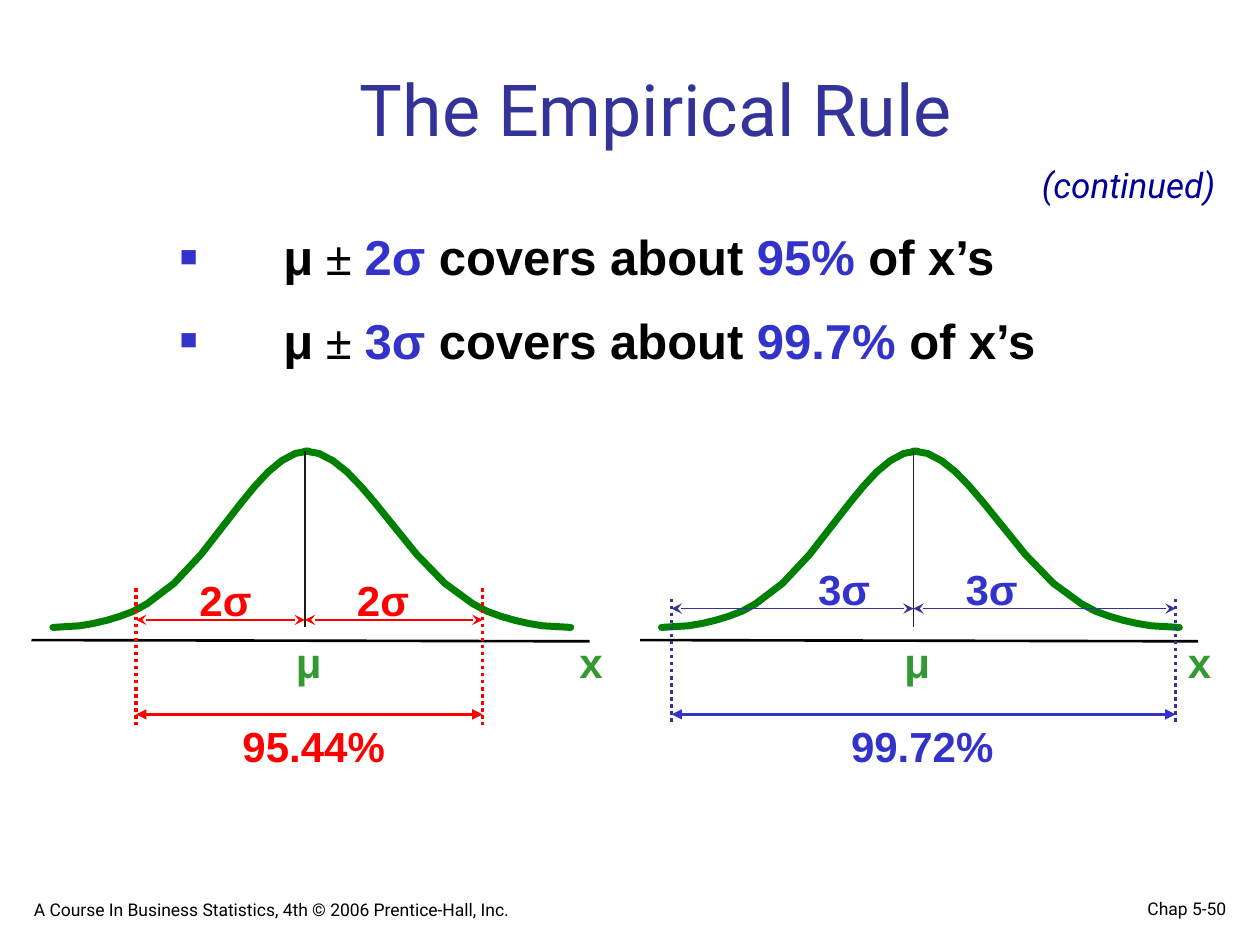
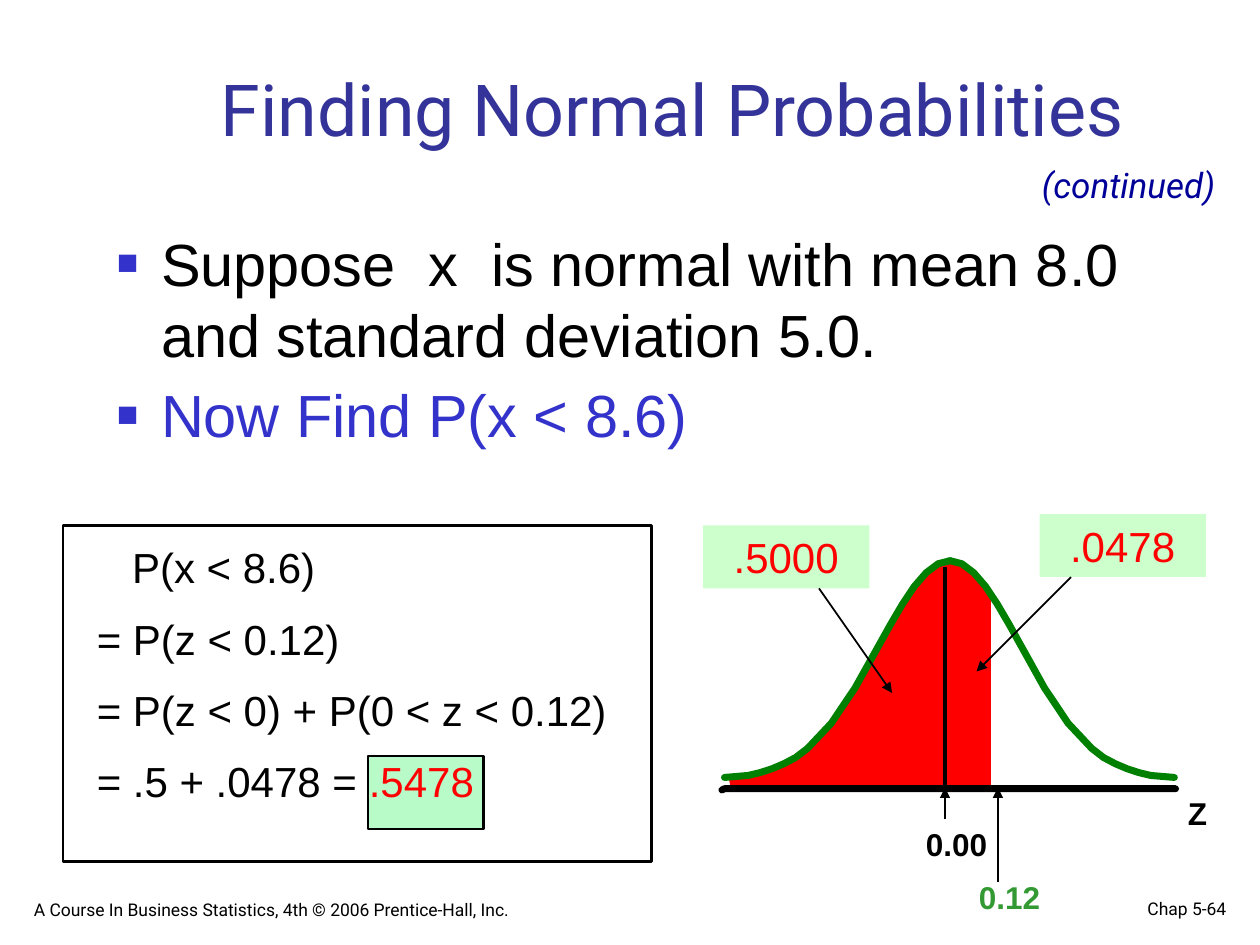
import pptx
import pptx.util
import pptx.dml.color
import pptx.enum.dml
import pptx.enum.shapes
import pptx.enum.text
import pptx.oxml
import pptx.oxml.ns

Inches = pptx.util.Inches
Pt = pptx.util.Pt
ALIGN = pptx.enum.text.PP_ALIGN
ANCHOR = pptx.enum.text.MSO_ANCHOR

COLORS = {
    "title": "333399", "accent": "3333CC", "continued": "000099",
    "ink": "000000", "axis_mark": "1C1C1C", "red": "FF0000",
    "curve": "008000", "label": "339933", "callout": "CCFFCC",
    "result": "B8FAC8", "background": "FFFFFF",
}
FOOTER = "A Course In Business Statistics, 4th © 2006 Prentice-Hall, Inc."
BELL_STEPS = [0, 2, 3, 4, 5, 6, 7, 9, 11, 13, 14, 15, 16, 17, 18, 19]
BELL_DROP_PERCENTS = [100, 99.1, 97.8, 96, 93.7, 90.8, 86.6, 75,
                      58.7, 39.1, 29.3, 20, 11.8, 5.5, 1.4, 0]


def rgb(name):
    return pptx.dml.color.RGBColor.from_string(COLORS[name])


def add_xml(parent, tag, **attributes):
    child = pptx.oxml.parse_xml(f"<a:{tag} {pptx.oxml.ns.nsdecls('a')}/>")
    for key, value in attributes.items():
        child.set(key, str(value))
    parent.append(child)
    return child


def add_run(paragraph, text, size=24, font="Arial", color="ink",
            bold=False, italic=False, spacing=0):
    run = paragraph.add_run()
    run.text = text
    run.font.size = Pt(size)
    run.font.name = font
    run.font.bold = bold
    run.font.italic = italic
    run.font.color.rgb = rgb(color)
    if spacing:
        run.font._element.set("spc", str(round(spacing * 100)))


class Deck:
    def __init__(self):
        self.presentation = pptx.Presentation()
        self.presentation.slide_width = Inches(10)
        self.presentation.slide_height = Inches(7.5)
        self.slide = None

    def start_slide(self, title, title_box, page):
        self.slide = self.presentation.slides.add_slide(
            self.presentation.slide_layouts[6])
        self.slide.background.fill.solid()
        self.slide.background.fill.fore_color.rgb = rgb("background")
        self.label(page, (7.75, 7, 2.08, 0.34), ALIGN.RIGHT, ANCHOR.BOTTOM,
                   size=10, font="Roboto")
        self.label(FOOTER, (0.17, 7, 5.08, 0.35), anchor=ANCHOR.BOTTOM,
                   size=10, font="Roboto")
        self.label(title, title_box, ALIGN.CENTER, ANCHOR.BOTTOM,
                   size=41, font="Roboto", color="title")
        self.label("(continued)", (8.17, 1.25, 1.67, 0.43), size=20,
                   font="Roboto", color="continued", italic=True)

    def text(self, box, paragraphs, align=ALIGN.LEFT, anchor=ANCHOR.TOP,
             gap=0, indent=0):
        frame = self.slide.shapes.add_textbox(*map(Inches, box)).text_frame
        frame.word_wrap = True
        frame.vertical_anchor = anchor
        for index, runs in enumerate(paragraphs):
            paragraph = frame.paragraphs[0] if index == 0 else frame.add_paragraph()
            if indent:
                self.bullet(paragraph, indent)
            paragraph.alignment = align
            paragraph.space_before = Pt(gap if index else 0)
            for words, style in runs:
                add_run(paragraph, words, **style)
        return frame

    def label(self, words, box, align=ALIGN.LEFT, anchor=ANCHOR.TOP, **style):
        self.text(box, [[(words, style)]], align, anchor)

    def bullet(self, paragraph, indent):
        properties = paragraph._p.get_or_add_pPr()
        properties.set("marL", str(Inches(indent)))
        properties.set("indent", str(-Inches(indent)))
        add_xml(add_xml(properties, "buClr"), "srgbClr", val=COLORS["accent"])
        add_xml(properties, "buSzPct", val=60000)
        add_xml(properties, "buFont", typeface="Arial")
        add_xml(properties, "buChar", char="■")

    def line(self, start, end, color="ink", width=1.0, dotted=False,
             head=None, tail=None):
        line = self.slide.shapes.add_connector(
            pptx.enum.shapes.MSO_CONNECTOR.STRAIGHT,
            *map(Inches, (*start, *end)))
        line.line.color.rgb = rgb(color)
        line.line.width = Pt(width)
        if dotted:
            line.line.dash_style = pptx.enum.dml.MSO_LINE.ROUND_DOT
        outline = line.line._get_or_add_ln()
        for tag, kind in (("headEnd", head), ("tailEnd", tail)):
            if kind:
                add_xml(outline, tag, type=kind)
        add_xml(line._element.spPr, "effectLst")

    def paint(self, shape, fill=None, outline=None, width=1.0):
        shape.shadow.inherit = False
        if fill:
            shape.fill.solid()
            shape.fill.fore_color.rgb = rgb(fill)
        else:
            shape.fill.background()
        if outline:
            shape.line.color.rgb = rgb(outline)
            shape.line.width = Pt(width)
        else:
            shape.line.fill.background()

    def box(self, place, **look):
        shape = self.slide.shapes.add_shape(
            pptx.enum.shapes.MSO_SHAPE.RECTANGLE, *map(Inches, place))
        self.paint(shape, **look)
        return shape

    def outline(self, points, closed=False, **look):
        corners = [(Inches(x), Inches(y)) for x, y in points]
        builder = self.slide.shapes.build_freeform(*corners[0], scale=1.0)
        builder.add_line_segments(corners[1:], close=closed)
        shape = builder.convert_to_shape()
        self.paint(shape, **look)
        if not closed:
            shape.line._get_or_add_ln().set("cap", "rnd")

    def bell(self, left, right, left_peak, right_peak, top, height):
        for foot, peak in ((right, right_peak), (left, left_peak)):
            self.outline([(foot + (peak - foot) * step / 19,
                           top + height * percent / 100)
                          for step, percent in zip(BELL_STEPS, BELL_DROP_PERCENTS)],
                         outline="curve", width=4)

    def callout(self, words, left, top):
        shape = self.box((left, top, 1.32, 0.5), fill="callout")
        shape.text_frame.word_wrap = True
        shape.text_frame.vertical_anchor = ANCHOR.TOP
        paragraph = shape.text_frame.paragraphs[0]
        paragraph.alignment = ALIGN.CENTER
        add_run(paragraph, words, color="red")


def sigma_panel(deck, mean, reach, sigma, percent, x_left, color, edge_color,
                dots_top, arrow_y, sigma_top, sigma_centers):
    low, high = reach
    deck.bell(mean - 2, mean + 2.11, mean + 0.03, mean, 3.58, 1.4)
    deck.line((mean, 3.58), (mean, 4.98), "axis_mark")
    deck.line((mean - 2.17, 5.08), (mean + 2.26, 5.09), width=1.5)
    deck.label("x", (x_left, 5, 0.5, 0.5), color="label", bold=True)
    deck.label("μ", (mean - 0.17, 5, 0.5, 0.5), color="label", bold=True)
    for edge in reach:
        deck.line((edge, dots_top), (edge, 5.75), edge_color, 2, dotted=True)
        deck.line((min(edge, mean), arrow_y), (max(edge, mean), arrow_y),
                  edge_color, head="stealth", tail="stealth")
    for center in sigma_centers:
        deck.label(sigma, (center - 0.4, sigma_top, 0.8, 0.5), ALIGN.CENTER,
                   color=color, bold=True)
    deck.line((low, 5.67), (high, 5.67), color, 1.5,
              head="triangle", tail="triangle")
    deck.label(percent, (mean - 0.68, 5.67, 1.5, 0.5), ALIGN.CENTER,
               color=color, bold=True)


def empirical_rule(deck):
    deck.start_slide("The Empirical Rule", (1.17, 0.42, 8.08, 0.83), "Chap 5-50")
    plain = {"size": 28, "bold": True}
    accent = {**plain, "color": "accent"}
    rules = [[("μ", plain), (" ± ", {**plain, "font": "Times New Roman"}),
              (f"{sigma} ", accent), ("covers about ", plain),
              (share, accent), (" of x’s", plain)]
             for sigma, share in (("2σ", "95%"), ("3σ", "99.7%"))]
    deck.text((1.33, 1.75, 7.58, 1.42), rules, gap=14, indent=0.82)
    sigma_panel(deck, 2.42, (1.08, 3.83), "2σ", "95.44%", 4.5, "red", "red",
                4.67, 4.92, 4.51, (1.79, 3.04))
    sigma_panel(deck, 7.25, (5.33, 9.33), "3σ", "99.72%", 9.33, "accent", "title",
                4.75, 4.83, 4.42, (6.7, 7.87))


def normal_probabilities(deck):
    deck.start_slide("Finding Normal Probabilities", (1.08, 0.42, 8.52, 0.83),
                     "Chap 5-64")
    deck.box((2.92, 6, 0.92, 0.58), fill="result", outline="ink", width=1.5)
    body = {"size": 34}
    wide_space = (" ", {**body, "spacing": 9.45})
    deck.text((0.83, 1.75, 8.83, 2.3), [
        [("Suppose", body), wide_space, ("x", body), wide_space,
         ("is normal with mean 8.0 and standard deviation 5.0.", body)],
        [("Now Find P(x < 8.6)", {**body, "color": "accent"})],
    ], gap=5, indent=0.35)

    below_mean = [(7.5, 6.25), (7.49, 4.47), (7.33, 4.56), (7.17, 4.76),
                  (7.03, 5.03), (6.9, 5.28), (6.81, 5.41), (6.7, 5.59),
                  (6.58, 5.75), (6.42, 5.94), (6.15, 6.1), (5.79, 6.17),
                  (5.81, 6.27)]
    above_mean = [(7.5, 6.27), (7.5, 4.47), (7.68, 4.51), (7.75, 4.58),
                  (7.85, 4.7), (7.84, 6.27)]
    for area in (below_mean, above_mean):
        deck.outline(area, closed=True, fill="red", outline="red")
    deck.line((7.83, 4.75), (7.83, 6.25), "red", 5)
    deck.line((7.5, 4.5), (7.5, 6.25), width=2.5)
    deck.bell(5.75, 9.32, 7.54, 7.54, 4.45, 1.72)
    deck.outline([(5.73, 6.27), (5.75, 6.26), (9.33, 6.26)],
                 outline="ink", width=4)

    for words, left, top, color in (("Z", 9.33, 6.25, "ink"),
                                    ("0.12", 7.67, 6.92, "label"),
                                    ("0.00", 7.25, 6.5, "ink")):
        width = 0.42 if words == "Z" else 0.85
        deck.label(words, (left, top, width, 0.4), size=18, color=color, bold=True)
    deck.callout(".0478", 8.25, 4.08)
    deck.callout(".5000", 5.58, 4.17)
    for start, end in (((6.5, 4.67), (7.08, 5.5)), ((8.5, 4.58), (7.75, 5.33)),
                       ((7.5, 6.5), (7.5, 6.25)), ((7.92, 7), (7.92, 6.25))):
        deck.line(start, end, tail="triangle")

    solution = deck.text((0.67, 4.25, 4.33, 2.3), [
        [("P(x < 8.6)", {})],
        [("= P(z < 0.12)", {})],
        [("= P(z < 0) + P(0 < z < 0.12)", {})],
        [("= .5 + .0478 = ", {}), (".5478", {"color": "red"})],
    ], gap=12)
    solution.paragraphs[0]._p.get_or_add_pPr().set("marL", str(Inches(0.28)))
    deck.box((0.5, 4.17, 4.67, 2.67), outline="ink", width=1.5)


def main():
    deck = Deck()
    empirical_rule(deck)
    normal_probabilities(deck)
    deck.presentation.save("out.pptx")


if __name__ == "__main__":
    main()
